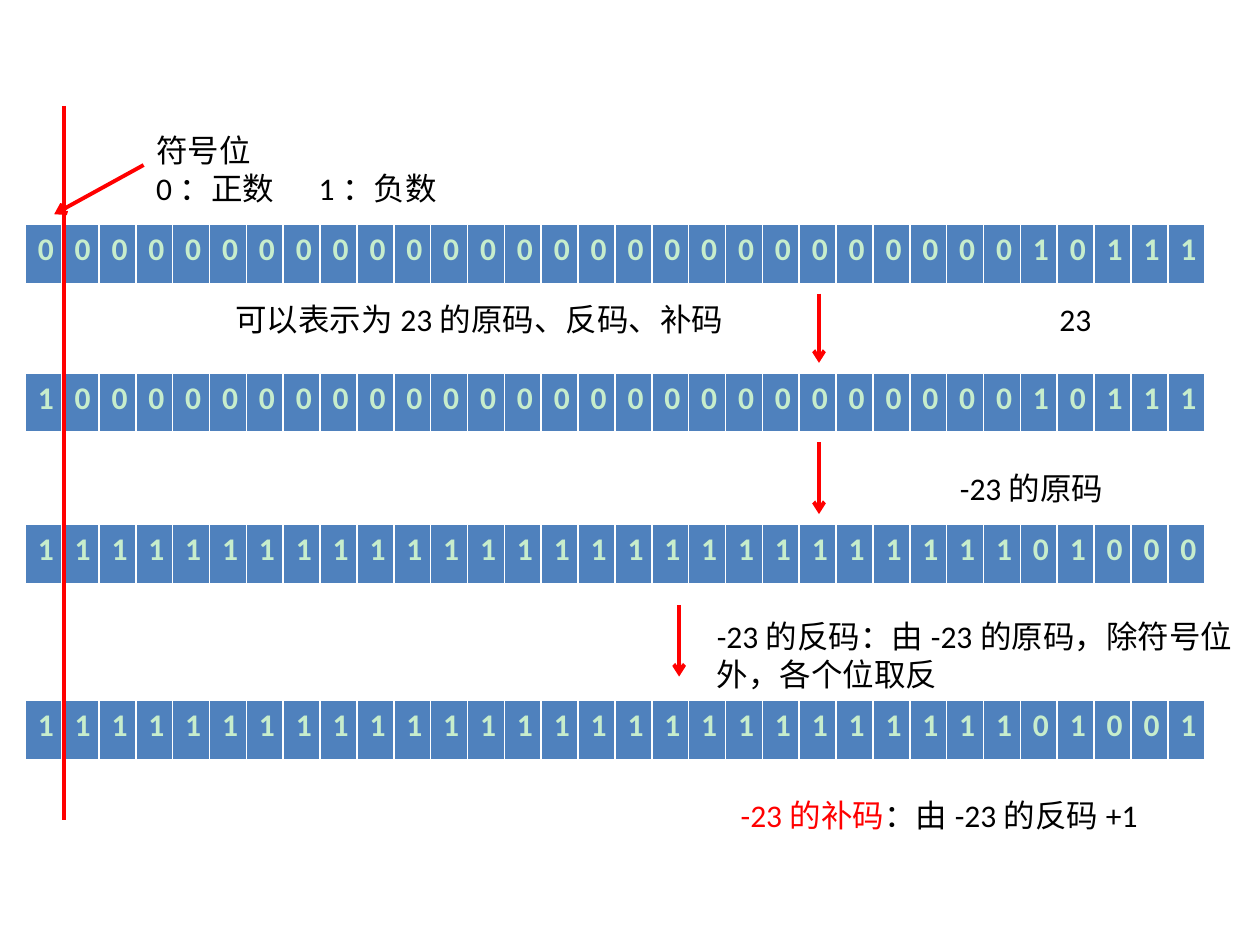
"""Build a slide on the sign-magnitude, ones' and two's complement codes of 23 and -23."""
from lxml.etree import SubElement
from pptx import Presentation
from pptx.dml.color import RGBColor
from pptx.enum.shapes import MSO_CONNECTOR
from pptx.enum.text import MSO_AUTO_SIZE
from pptx.oxml.ns import qn
from pptx.util import Inches, Pt

BLACK, RED, BLUE, PALE_GREEN = "000000", "FF0000", "4F81BD", "C7EDCC"


def colour(value):
    return RGBColor.from_string(value)


class CodeSlide:
    font_name = "Calibri"
    font_size = Pt(18)
    line_width = Pt(2.25)

    def __init__(self, presentation):
        self.slide = presentation.slides.add_slide(presentation.slide_layouts[6])

    def style(self, font, value, bold=False):
        font.name = self.font_name
        font.size = self.font_size
        font.bold = bold
        font.color.rgb = colour(value)

    def bit_row(self, top, bits):
        frame = self.slide.shapes.add_table(
            1, len(bits), Inches(0.2), Inches(top), Inches(9.37), Inches(0.47))
        for cell, bit in zip(frame.table.rows[0].cells, bits):
            cell.fill.solid()
            cell.fill.fore_color.rgb = colour(BLUE)
            cell.text_frame.text = bit
            self.style(cell.text_frame.paragraphs[0].runs[0].font, PALE_GREEN, bold=True)

    def label(self, left, top, width, height, *lines, tab=None):
        box = self.slide.shapes.add_textbox(
            Inches(left), Inches(top), Inches(width), Inches(height))
        frame = box.text_frame
        frame.word_wrap = True
        frame.auto_size = MSO_AUTO_SIZE.SHAPE_TO_FIT_TEXT
        for index, line in enumerate(lines):
            paragraph = frame.add_paragraph() if index else frame.paragraphs[0]
            if tab:
                stops = SubElement(paragraph._p.get_or_add_pPr(), qn("a:tabLst"))
                SubElement(stops, qn("a:tab"), pos=str(Inches(tab)), algn="l")
            for text, value in line:
                run = paragraph.add_run()
                run.text = text
                self.style(run.font, value)

    def line(self, start, end, arrow=False):
        connector = self.slide.shapes.add_connector(
            MSO_CONNECTOR.STRAIGHT, *(Inches(length) for length in start + end))
        connector.line.color.rgb = colour(RED)
        connector.line.width = self.line_width
        if arrow:
            SubElement(connector.line._get_or_add_ln(), qn("a:tailEnd"), type="arrow")
        SubElement(connector._element.spPr, qn("a:effectLst"))


def main():
    presentation = Presentation()
    presentation.slide_width = Inches(10)
    presentation.slide_height = Inches(7.5)
    codes = CodeSlide(presentation)

    bit_rows = (
        (1.78, "0" * 27 + "10111"),
        (2.96, "1" + "0" * 26 + "10111"),
        (4.16, "1" * 27 + "01000"),
        (5.56, "1" * 27 + "01001"),
    )
    for top, bits in bit_rows:
        codes.bit_row(top, bits)

    codes.label(1.14, 0.99, 2.68, 0.71,
                [("符号位", BLACK)], [("0：正数\t1：负数", BLACK)], tab=1.29)
    codes.label(1.77, 2.33, 5.35, 0.4, [("可以表示为23的原码、反码、补码", BLACK)])
    codes.label(8.31, 2.33, 1.18, 0.4, [("23", BLACK)])
    codes.label(7.52, 3.67, 1.97, 0.4, [("-23的原码", BLACK)])
    codes.label(5.59, 4.85, 4.39, 0.71,
                [("-23的反码：由-23的原码，除符号位外，各个位取反", BLACK)])
    codes.label(5.78, 6.27, 3.74, 0.4,
                [("-23的补码", RED), ("：由-23的反码+1", BLACK)])

    codes.line((0.51, 0.84), (0.51, 6.51))
    codes.line((1.14, 1.31), (0.43, 1.7), arrow=True)
    for x, top, bottom in ((6.5, 2.33, 2.88), (6.5, 3.51, 4.08), (5.39, 4.8, 5.37)):
        codes.line((x, top), (x, bottom), arrow=True)

    presentation.save("out.pptx")


if __name__ == "__main__":
    main()
